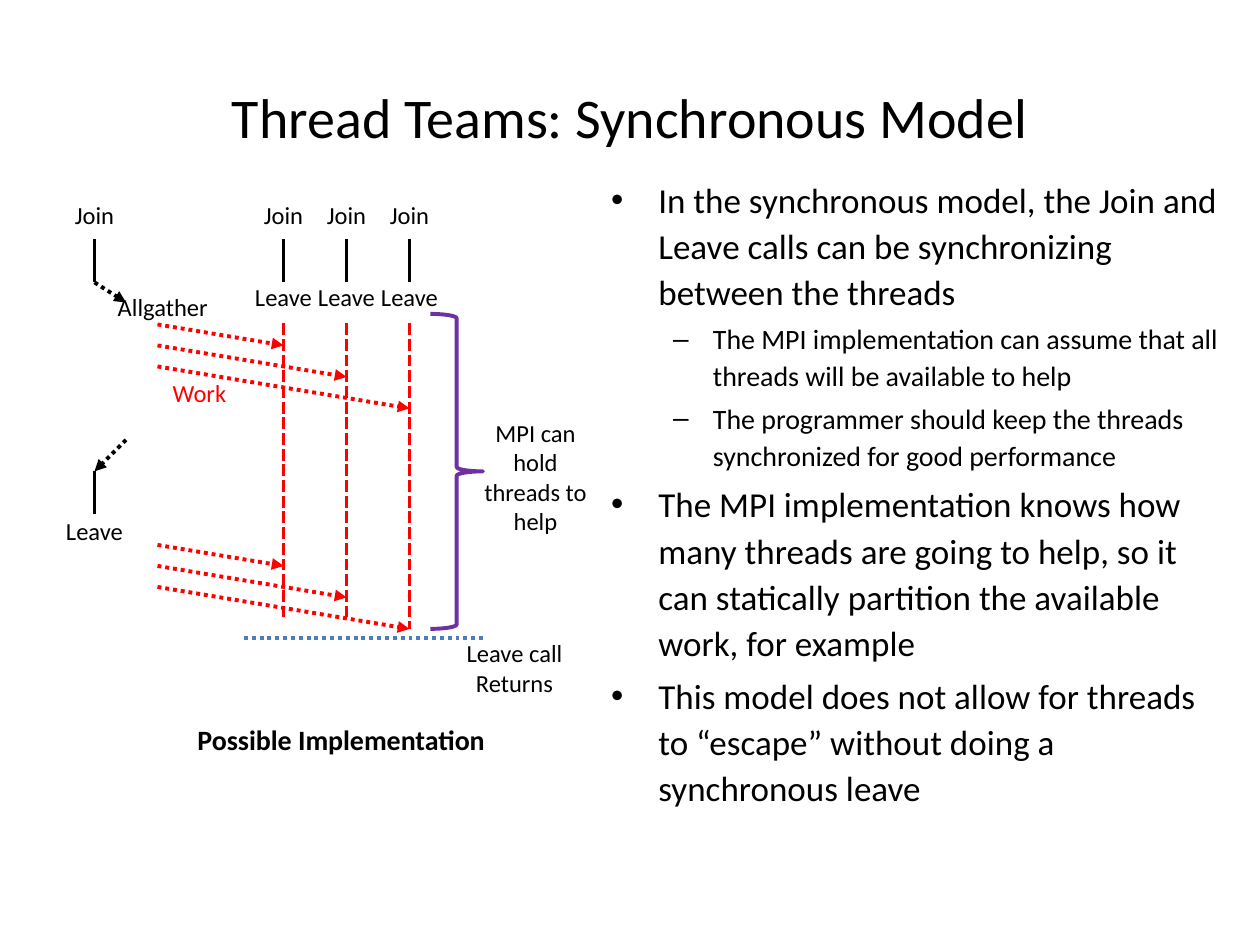
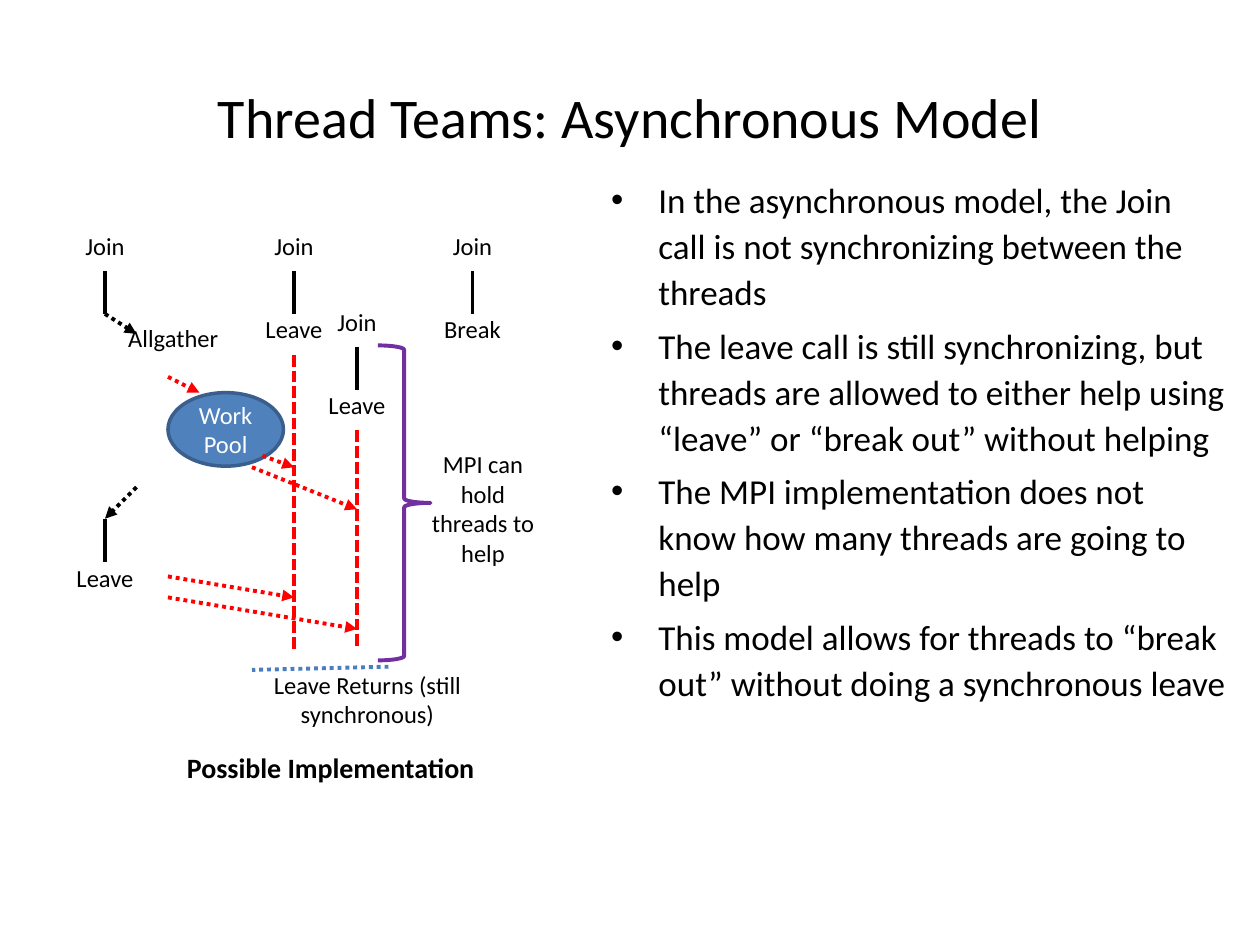
"""Build two slides comparing the synchronous and asynchronous thread team models."""

from dataclasses import dataclass

from pptx import Presentation
from pptx.dml.color import RGBColor
from pptx.enum.dml import MSO_LINE_DASH_STYLE as Dash
from pptx.enum.shapes import MSO_CONNECTOR as Connector, MSO_SHAPE as Preset
from pptx.enum.text import MSO_ANCHOR as Anchor, MSO_AUTO_SIZE as AutoSize, PP_ALIGN as Align
from pptx.oxml.ns import qn
from pptx.presentation import Presentation as Deck
from pptx.slide import Slide
from pptx.text.text import _Paragraph as Paragraph
from pptx.util import Emu, Pt

PX = 7620
FONT = "Calibri"
BLACK = RGBColor(0x00, 0x00, 0x00)
WHITE = RGBColor(0xFF, 0xFF, 0xFF)
RED = RGBColor(0xFF, 0x00, 0x00)
PURPLE = RGBColor(0x70, 0x30, 0xA0)
RETURN_BLUE = RGBColor(0x4B, 0x7E, 0xBC)
POOL_BLUE = RGBColor(0x4F, 0x81, 0xBD)
POOL_EDGE = RGBColor(0x3A, 0x5F, 0x8C)
LINE_WIDTH = Pt(2.25)
STEM = 41
LABEL_WIDTH = 60
LANE_GAP = 60


@dataclass(frozen=True)
class Bullet:
    text: str
    level: int = 0


@dataclass(frozen=True)
class BulletStyle:
    size: int
    margin: int
    indent: int


@dataclass(frozen=True)
class Label:
    text: str
    left: int
    top: int
    width: int = LABEL_WIDTH
    height: int = 28
    size: int = 14
    color: RGBColor = BLACK
    bold: bool = False


@dataclass(frozen=True)
class Line:
    x1: int
    y1: int
    x2: int
    y2: int
    color: RGBColor = BLACK
    dash: Dash | None = None
    arrow: bool = False


@dataclass(frozen=True)
class Lane:
    x: int
    top: int
    outcome: str = "Leave"
    work_end: int = 0


BULLET_STYLES = (BulletStyle(20, 45, -45), BulletStyle(16, 97, -38))

SYNCHRONOUS_BULLETS = (
    Bullet("In the synchronous model, the Join and Leave calls can be synchronizing between the threads"),
    Bullet("The MPI implementation can assume that all threads will be available to help", 1),
    Bullet("The programmer should keep the threads synchronized for good performance", 1),
    Bullet("The MPI implementation knows how many threads are going to help, so it can statically "
           "partition the available work, for example"),
    Bullet("This model does not allow for threads to “escape” without doing a synchronous leave"),
)
ASYNCHRONOUS_BULLETS = (
    Bullet("In the asynchronous model, the Join call is not synchronizing between the threads"),
    Bullet("The leave call is still synchronizing, but threads are allowed to either help using "
           "“leave” or “break out” without helping"),
    Bullet("The MPI implementation does not know how many threads are going to help"),
    Bullet("This model allows for threads to “break out” without doing a synchronous leave"),
)
SYNCHRONOUS_LANES = (Lane(270, 190, work_end=588), Lane(330, 190, work_end=588),
                     Lane(390, 190, work_end=599))
ASYNCHRONOUS_LANES = (Lane(280, 220, work_end=618), Lane(340, 292, work_end=618),
                      Lane(450, 220, "Break"))


def px(*lengths: int) -> list[Emu]:
    return [Emu(length * PX) for length in lengths]


def set_font(paragraph: Paragraph, size: int, color: RGBColor, bold: bool = False) -> None:
    font = paragraph.font
    font.name, font.size, font.bold = FONT, Pt(size), bold
    font.color.rgb = color


def draw_line(slide: Slide, line: Line) -> None:
    connector = slide.shapes.add_connector(
        Connector.STRAIGHT, *px(line.x1, line.y1, line.x2, line.y2))
    connector.line.color.rgb = line.color
    connector.line.width = LINE_WIDTH
    if line.dash:
        connector.line.dash_style = line.dash
    properties = connector.element.spPr
    if line.arrow:
        outline = properties.find(qn("a:ln"))
        outline.append(outline.makeelement(qn("a:tailEnd"), {"type": "triangle"}))
    properties.append(properties.makeelement(qn("a:effectLst"), {}))


def draw_arrow(slide: Slide, x1: int, y1: int, x2: int, y2: int, color: RGBColor = RED) -> None:
    draw_line(slide, Line(x1, y1, x2, y2, color, Dash.ROUND_DOT, True))


def draw_label(slide: Slide, label: Label) -> None:
    box = slide.shapes.add_textbox(*px(label.left, label.top, label.width, label.height))
    frame = box.text_frame
    frame.word_wrap = True
    frame.auto_size = AutoSize.SHAPE_TO_FIT_TEXT
    frame.margin_left = frame.margin_right = frame.margin_top = frame.margin_bottom = 0
    paragraph = frame.paragraphs[0]
    paragraph.text = label.text
    paragraph.alignment = Align.CENTER
    set_font(paragraph, label.size, label.color, label.bold)


def draw_join(slide: Slide, x: int, top: int) -> None:
    draw_label(slide, Label("Join", x - LABEL_WIDTH // 2, top))
    draw_line(slide, Line(x, top + 38, x, top + 38 + STEM))


def draw_lane(slide: Slide, lane: Lane) -> None:
    draw_join(slide, lane.x, lane.top)
    draw_label(slide, Label(lane.outcome, lane.x - LABEL_WIDTH // 2, lane.top + 79))
    if lane.work_end:
        draw_line(slide, Line(lane.x, lane.top + 118, lane.x, lane.work_end,
                              RED, Dash.SQUARE_DOT))


def draw_main_thread(slide: Slide, x: int, join_top: int, leave_top: int) -> None:
    draw_join(slide, x, join_top)
    draw_arrow(slide, x, join_top + 79, x + 30, join_top + 98, BLACK)
    draw_label(slide, Label("Allgather", x + 20, join_top + 88, 90))
    draw_arrow(slide, x + 30, leave_top - 30, x, leave_top, BLACK)
    draw_line(slide, Line(x, leave_top, x, leave_top + STEM))
    draw_label(slide, Label("Leave", x - LABEL_WIDTH // 2, leave_top + STEM + 1))


def draw_fan(slide: Slide, left: int, top: int, count: int) -> None:
    for index in range(count):
        draw_arrow(slide, left, top + 20 * index,
                   left + 120 + LANE_GAP * index, top + 20 + 30 * index)


def draw_hold_brace(slide: Slide, left: int, top: int) -> None:
    brace = slide.shapes.add_shape(Preset.RIGHT_BRACE, *px(left, top, 50, 300))
    brace.shadow.inherit = False
    brace.fill.background()
    brace.line.color.rgb = PURPLE
    brace.line.width = LINE_WIDTH
    draw_label(slide, Label("MPI can hold threads to help", left + 50, top + 99, 100, 113))


def draw_caption(slide: Slide, left: int, top: int) -> None:
    draw_label(slide, Label("Possible Implementation", left, top, 330, 32, 16, bold=True))


def draw_work_pool(slide: Slide) -> None:
    pool = slide.shapes.add_shape(Preset.OVAL, *px(160, 374, 110, 70))
    pool.shadow.inherit = False
    pool.fill.solid()
    pool.fill.fore_color.rgb = POOL_BLUE
    pool.line.color.rgb = POOL_EDGE
    pool.line.width = Pt(2)
    pool.text_frame.vertical_anchor = Anchor.MIDDLE
    paragraph = pool.text_frame.paragraphs[0]
    paragraph.text = "Work Pool"
    paragraph.alignment = Align.CENTER
    set_font(paragraph, 14, WHITE)


def add_model_slide(presentation: Deck, title_text: str, bullets: tuple[Bullet, ...]) -> Slide:
    slide = presentation.slides.add_slide(presentation.slide_layouts[1])
    title, body = slide.placeholders
    title.left, title.top, title.width, title.height = px(60, 36, 1080, 150)
    body.left, body.top, body.width, body.height = px(570, 160, 610, 670)
    for placeholder in (title, body):
        placeholder.text_frame.auto_size = AutoSize.NONE
    title.text_frame.text = title_text
    title.text_frame.vertical_anchor = Anchor.MIDDLE
    heading = title.text_frame.paragraphs[0]
    heading.alignment = Align.CENTER
    set_font(heading, 32, BLACK)

    frame = body.text_frame
    for index, bullet in enumerate(bullets):
        paragraph = frame.add_paragraph() if index else frame.paragraphs[0]
        paragraph.text = bullet.text
        paragraph.level = bullet.level
        paragraph.line_spacing = 1.1
        if index == 0:
            paragraph.space_before = Pt(0)
        style = BULLET_STYLES[bullet.level]
        properties = paragraph._p.get_or_add_pPr()
        properties.set("marL", str(style.margin * PX))
        properties.set("indent", str(style.indent * PX))
        set_font(paragraph, style.size, BLACK)
    return slide


def build_synchronous(presentation: Deck) -> None:
    slide = add_model_slide(presentation, "Thread Teams: Synchronous Model", SYNCHRONOUS_BULLETS)
    draw_main_thread(slide, 90, 190, 449)
    for lane in SYNCHRONOUS_LANES:
        draw_lane(slide, lane)
    for top in (309, 519):
        draw_fan(slide, 150, top, 3)
    draw_line(slide, Line(460, 608, 230, 608, RETURN_BLUE, Dash.ROUND_DOT))
    draw_hold_brace(slide, 410, 299)
    draw_label(slide, Label("Leave call Returns", 440, 608, 100, 56))
    draw_label(slide, Label("Work", 160, 360, color=RED))
    draw_caption(slide, 160, 688)


def build_asynchronous(presentation: Deck) -> None:
    slide = add_model_slide(presentation, "Thread Teams: Asynchronous Model", ASYNCHRONOUS_BULLETS)
    draw_main_thread(slide, 100, 220, 494)
    for lane in ASYNCHRONOUS_LANES:
        draw_lane(slide, lane)
    draw_fan(slide, 160, 549, 2)
    draw_line(slide, Line(370, 635, 240, 638, RETURN_BLUE, Dash.ROUND_DOT))
    draw_hold_brace(slide, 360, 329)
    draw_label(slide, Label("Leave Returns (still synchronous)", 260, 638, 180, 56))
    draw_caption(slide, 150, 715)
    draw_work_pool(slide)
    draw_arrow(slide, 160, 359, 190, 374)
    draw_arrow(slide, 250, 434, 280, 445)
    draw_arrow(slide, 240, 445, 340, 485)


def main() -> None:
    presentation = Presentation()
    presentation.slide_width, presentation.slide_height = px(1200, 900)
    build_synchronous(presentation)
    build_asynchronous(presentation)
    presentation.save("out.pptx")


if __name__ == "__main__":
    main()
